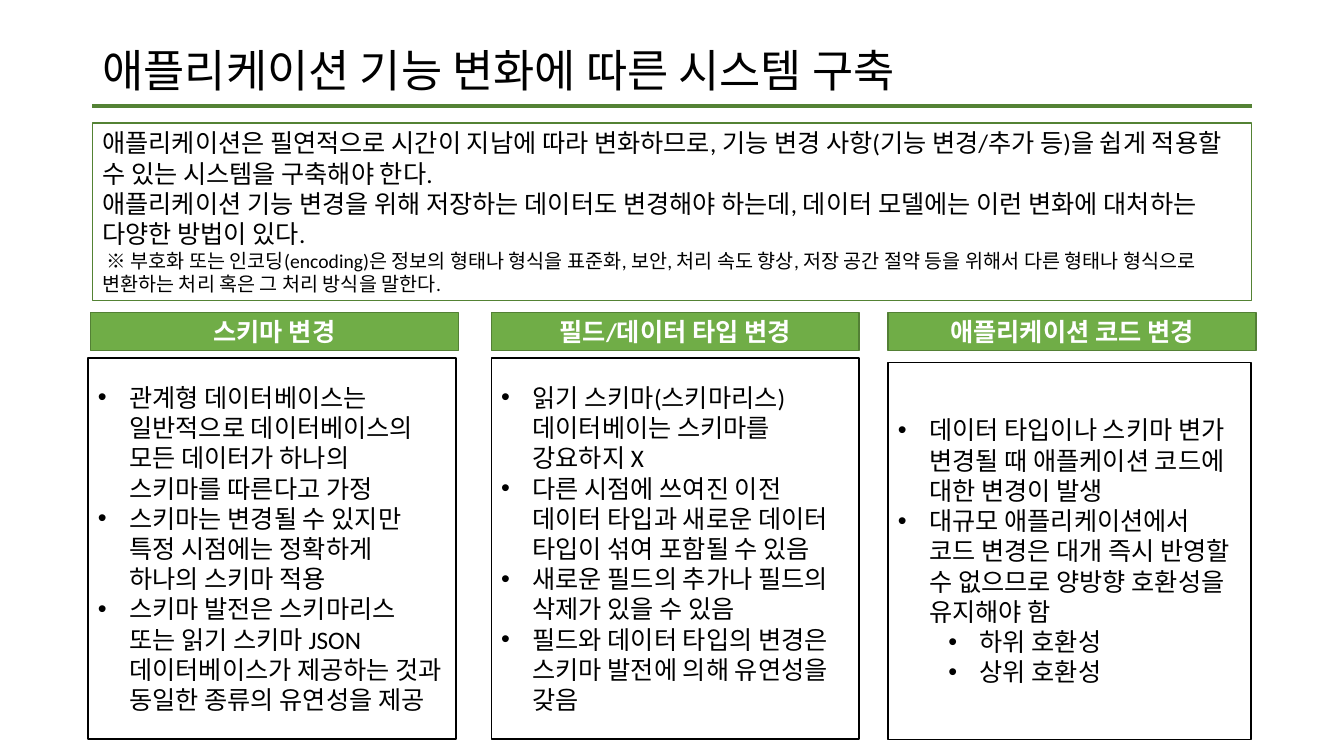
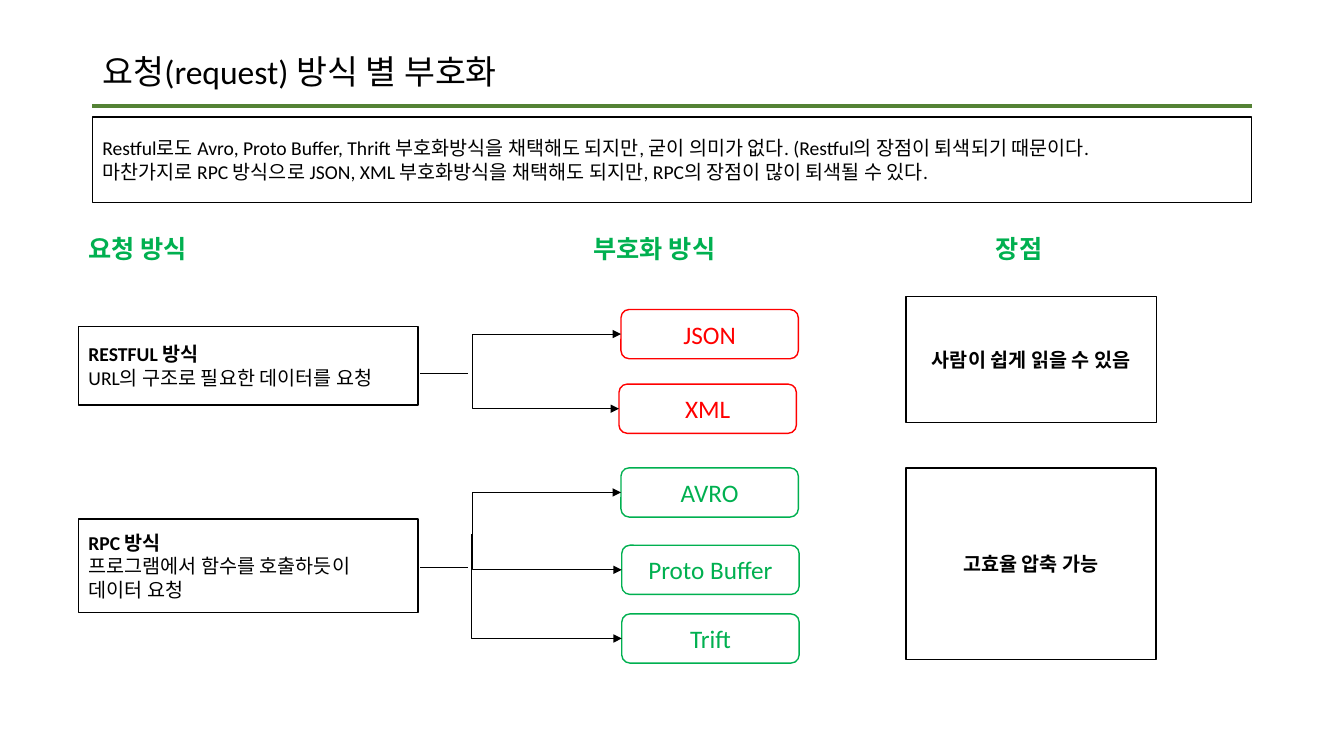
"""Build two slides on changing application features and encoding by request style."""
from lxml import etree
from pptx import Presentation
from pptx.dml.color import RGBColor
from pptx.enum.shapes import MSO_CONNECTOR as CONNECTOR, MSO_SHAPE as SHAPE
from pptx.enum.text import MSO_ANCHOR as ANCHOR, MSO_AUTO_SIZE as AUTO_SIZE, PP_ALIGN as ALIGN
from pptx.oxml.ns import qn
from pptx.util import Cm, Pt

FONT = "Calibri"
COLORS = {
    "text": "000000", "white": "FFFFFF", "rule": "548235", "intro": "538234",
    "band": "70AD47", "band_line": "538035", "green": "00B050", "red": "FF0000",
}
LEFT, CONTENT_WIDTH = 2.33, 29.21
TITLE_TOP, TITLE_HEIGHT = 1.02, 1.65

CHANGE_TITLE = "애플리케이션 기능 변화에 따른 시스템 구축"
CHANGE_INTRO = [
    "애플리케이션은 필연적으로 시간이 지남에 따라 변화하므로, 기능 변경 사항(기능 변경/추가 등)을 쉽게 적용할 수 있는 시스템을 구축해야 한다.",
    "애플리케이션 기능 변경을 위해 저장하는 데이터도 변경해야 하는데, 데이터 모델에는 이런 변화에 대처하는 다양한 방법이 있다.",
    " ※ 부호화 또는 인코딩(encoding)은 정보의 형태나 형식을 표준화, 보안, 처리 속도 향상, 저장 공간 절약 등을 위해서 다른 형태나 형식으로 변환하는 처리 혹은 그 처리 방식을 말한다.",
]
CHANGE_COLUMNS = [
    {"heading": "스키마 변경", "band_left": 2.28, "body": (2.22, 9.02, 9.27, 9.6), "points": [
        (0, "관계형 데이터베이스는 일반적으로 데이터베이스의 모든 데이터가 하나의 스키마를 따른다고 가정"),
        (0, "스키마는 변경될 수 있지만 특정 시점에는 정확하게 하나의 스키마 적용"),
        (0, "스키마 발전은 스키마리스 또는 읽기 스키마 JSON 데이터베이스가 제공하는 것과 동일한 종류의 유연성을 제공"),
    ]},
    {"heading": "필드/데이터 타입 변경", "band_left": 12.38, "body": (12.38, 9.02, 9.27, 9.6), "points": [
        (0, "읽기 스키마(스키마리스) 데이터베이는 스키마를 강요하지 X"),
        (0, "다른 시점에 쓰여진 이전 데이터 타입과 새로운 데이터 타입이 섞여 포함될 수 있음"),
        (0, "새로운 필드의 추가나 필드의 삭제가 있을 수 있음"),
        (0, "필드와 데이터 타입의 변경은 스키마 발전에 의해 유연성을 갖음"),
    ]},
    {"heading": "애플리케이션 코드 변경", "band_left": 22.38, "body": (22.38, 9.13, 9.15, 9.5), "points": [
        (0, "데이터 타입이나 스키마 변가 변경될 때 애플케이션 코드에 대한 변경이 발생"),
        (0, "대규모 애플리케이션에서 코드 변경은 대개 즉시 반영할 수 없으므로 양방향 호환성을 유지해야 함"),
        (1, "하위 호환성"),
        (1, "상위 호환성"),
    ]},
]

REQUEST_TITLE = "요청(request) 방식 별 부호화"
REQUEST_INTRO = [
    "Restful로도 Avro, Proto Buffer, Thrift 부호화방식을 채택해도 되지만, 굳이 의미가 없다. (Restful의 장점이 퇴색되기 때문이다.",
    "마찬가지로 RPC 방식으로 JSON, XML 부호화방식을 채택해도 되지만, RPC의 장점이 많이 퇴색될 수 있다.",
]
REQUEST_HEADINGS = [("요청 방식", 1.98, 3.4), ("부호화 방식", 14.71, 4.47), ("장점", 24.85, 4.47)]
REQUEST_METHODS = [
    {
        "text": ["RESTFUL 방식", "URL의 구조로 필요한 데이터를 요청"],
        "top": 8.23, "height": 1.98, "stub": 9.4, "color": "red",
        "encodings": [("JSON", 15.65, 7.8, (11.91, 9.36)), ("XML", 15.6, 9.68, (11.91, 9.36))],
        "benefit": "사람이 쉽게 읽을 수 있음", "benefit_box": (22.83, 7.47, 6.32, 3.18),
    },
    {
        "text": ["RPC 방식", "프로그램에서 함수를 호출하듯이 데이터 요청"],
        "top": 13.08, "height": 2.36, "stub": 14.3, "color": "green",
        "encodings": [
            ("AVRO", 15.65, 11.79, (11.91, 13.4)),
            ("Proto Buffer", 15.67, 13.74, (11.91, 13.4)),
            ("Trift", 15.67, 15.47, (11.87, 13.46)),
        ],
        "benefit": "고효율 압축 가능", "benefit_box": (22.83, 11.79, 6.3, 4.83),
    },
]
ENCODING_WIDTH, ENCODING_HEIGHT = 4.47, 1.24


def rgb(name):
    """Return a named colour."""
    return RGBColor.from_string(COLORS[name])


def style(paragraph, size, color="text", bold=False, align=ALIGN.LEFT):
    """Format a paragraph and its runs."""
    paragraph.alignment = align
    for run in paragraph.runs:
        run.font.name, run.font.size, run.font.bold = FONT, Pt(size), bold
        run.font.color.rgb = rgb(color)


def write(shape, texts, size, **options):
    """Fill a shape with one paragraph per text."""
    frame = shape.text_frame
    frame.word_wrap, frame.vertical_anchor = True, ANCHOR.MIDDLE
    frame.text = "\n".join(texts)
    for paragraph in frame.paragraphs:
        style(paragraph, size, **options)
    return frame.paragraphs


def add_box(slide, box, line="text", fill=None, kind=SHAPE.RECTANGLE):
    """Add an outlined box, filled if a fill is named."""
    shape = slide.shapes.add_shape(kind, *map(Cm, box))
    shape.shadow.inherit = False
    if fill:
        shape.fill.solid()
        shape.fill.fore_color.rgb = rgb(fill)
    else:
        shape.fill.background()
    shape.line.color.rgb, shape.line.width = rgb(line), Pt(1)
    return shape


def add_line(slide, start, end, color="text", width=0.5, kind=CONNECTOR.STRAIGHT):
    """Add a connector without a shadow."""
    line = slide.shapes.add_connector(kind, *map(Cm, (*start, *end)))
    line.line.color.rgb, line.line.width = rgb(color), Pt(width)
    etree.SubElement(line._element.spPr, qn("a:effectLst"))
    return line


def add_branch(slide, start, end):
    """Add an elbow arrow that turns at its start."""
    branch = add_line(slide, start, end, kind=CONNECTOR.ELBOW)
    guides = branch._element.spPr.find(qn("a:prstGeom")).get_or_add_avLst()
    etree.SubElement(guides, qn("a:gd"), name="adj1", fmla="val 0")
    etree.SubElement(branch.line._get_or_add_ln(), qn("a:tailEnd"), type="triangle")


def add_bullet(paragraph, level):
    """Give a paragraph a hanging bullet."""
    paragraph.level = level
    properties = paragraph._p.get_or_add_pPr()
    properties.set("marL", str(Cm(0.79 + 1.27 * level)))
    properties.set("indent", str(-Cm(0.79)))
    etree.SubElement(properties, qn("a:buFont"), typeface="Arial")
    etree.SubElement(properties, qn("a:buChar"), char="•")


def add_titled_slide(presentation, title, size):
    """Add a slide with the shared title and rule."""
    slide = presentation.slides.add_slide(presentation.slide_layouts[5])
    rule_top = TITLE_TOP + TITLE_HEIGHT
    add_line(slide, (LEFT, rule_top), (LEFT + CONTENT_WIDTH, rule_top), "rule", 2.25)
    shape = slide.shapes.title
    shape.left, shape.top = Cm(LEFT), Cm(TITLE_TOP)
    shape.width, shape.height = Cm(CONTENT_WIDTH), Cm(TITLE_HEIGHT)
    write(shape, [title], size)[0].line_spacing = 0.9
    shape.text_frame.auto_size = AUTO_SIZE.NONE
    return slide


def build_change_slide(presentation):
    """Build the slide with three columns of changes."""
    slide = add_titled_slide(presentation, CHANGE_TITLE, 32)
    intro = add_box(slide, (LEFT, 3.1, CONTENT_WIDTH, 4.47), "intro")
    style(write(intro, CHANGE_INTRO, 18)[-1], 14)
    for column in CHANGE_COLUMNS:
        band = add_box(slide, (column["band_left"], 7.87, 9.27, 0.97), "band_line", "band")
        write(band, [column["heading"]], 18, color="white", bold=True, align=ALIGN.CENTER)
        levels, texts = zip(*column["points"])
        for paragraph, level in zip(write(add_box(slide, column["body"]), texts, 18), levels):
            add_bullet(paragraph, level)


def build_request_slide(presentation):
    """Build the slide that links request styles to encodings."""
    slide = add_titled_slide(presentation, REQUEST_TITLE, 24)
    write(add_box(slide, (LEFT, 2.95, CONTENT_WIDTH, 2.16)), REQUEST_INTRO, 14)
    for text, left, width in REQUEST_HEADINGS:
        heading = slide.shapes.add_textbox(Cm(left), Cm(5.77), Cm(width), Cm(0.97))
        write(heading, [text], 18, color="green", bold=True)
    for method in REQUEST_METHODS:
        box = add_box(slide, (1.98, method["top"], 8.56, method["height"]))
        style(write(box, method["text"], 14)[0], 14, bold=True)
        add_line(slide, (10.59, method["stub"]), (11.79, method["stub"]))
        for name, left, top, start in method["encodings"]:
            encoding = add_box(slide, (left, top, ENCODING_WIDTH, ENCODING_HEIGHT),
                               method["color"], kind=SHAPE.ROUNDED_RECTANGLE)
            write(encoding, [name], 18, color=method["color"], align=ALIGN.CENTER)
            add_branch(slide, start, (left, top + ENCODING_HEIGHT / 2))
        benefit = add_box(slide, method["benefit_box"])
        write(benefit, [method["benefit"]], 14, bold=True, align=ALIGN.CENTER)


def main():
    """Build and save the presentation."""
    presentation = Presentation()
    presentation.slide_width, presentation.slide_height = Cm(33.87), Cm(19.05)
    build_change_slide(presentation)
    build_request_slide(presentation)
    presentation.save("out.pptx")


if __name__ == "__main__":
    main()
